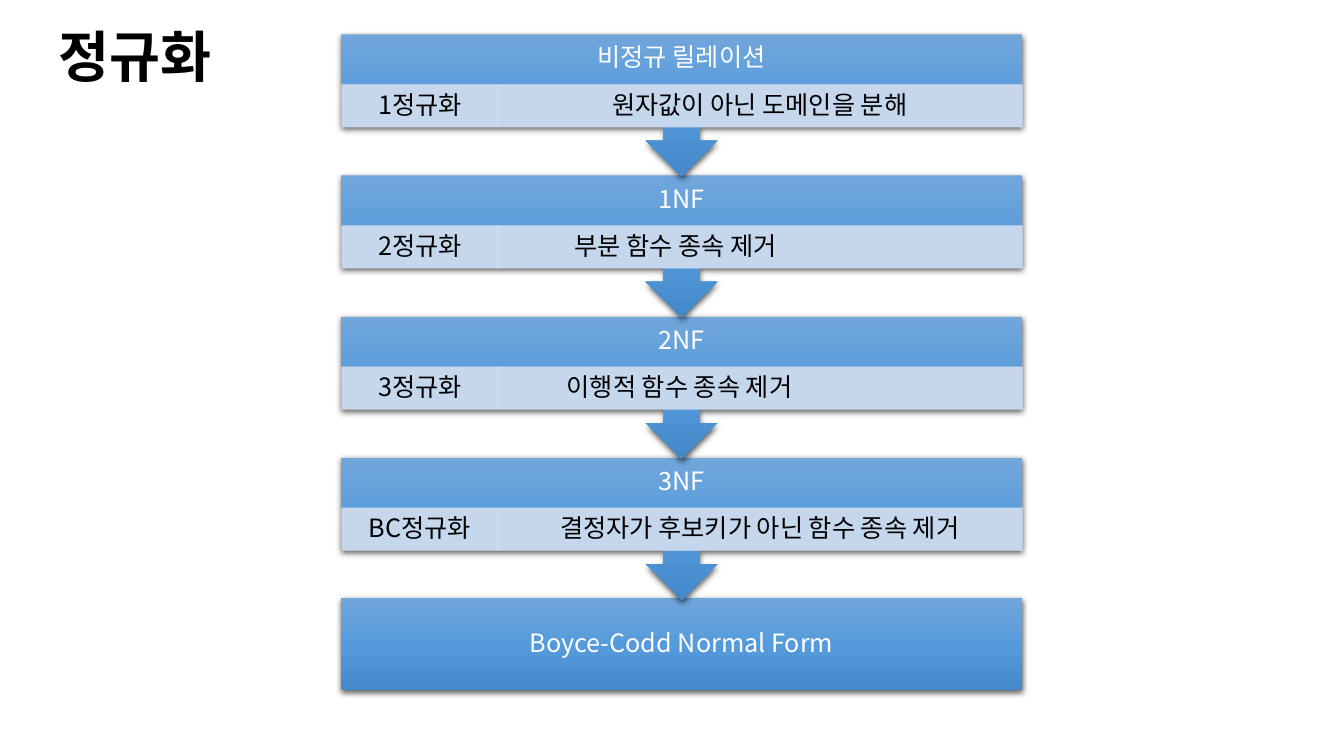
from copy import deepcopy

from lxml.etree import SubElement
from pptx import Presentation
from pptx.dml.color import RGBColor
from pptx.enum.shapes import MSO_SHAPE as Shape
from pptx.enum.text import MSO_ANCHOR as Anchor, PP_ALIGN as Align
from pptx.oxml.ns import qn
from pptx.util import Inches, Pt

BLACK = RGBColor(0x00, 0x00, 0x00)
WHITE = RGBColor(0xFF, 0xFF, 0xFF)
PALE_BLUE = RGBColor(0xD2, 0xDE, 0xEF)
BLUES = [
    (0, RGBColor(0x71, 0xA6, 0xDB)),
    (0.5, RGBColor(0x55, 0x9B, 0xDB)),
    (1, RGBColor(0x44, 0x8A, 0xCA)),
]
FONT = "Noto Sans CJK KR"

# Form, step, action, and indent of the action in inches (None: centred)
STAGES = [
    ("비정규 릴레이션", "1정규화", "원자값이 아닌 도메인을 분해", None),
    ("1NF", "2정규화", "부분 함수 종속 제거", 0.63),
    ("2NF", "3정규화", "이행적 함수 종속 제거", 0.55),
    ("3NF", "BC정규화", "결정자가 후보키가 아닌 함수 종속 제거", None),
]
FINAL_FORM = "Boyce-Codd Normal Form"

FLOW_BOX = (3.38, 0.34, 6.76, 6.51)
PITCH = 1.4
CALLOUT_HEIGHT = 1.41
FORM_HEIGHT = 0.49
BODY_HEIGHT = 0.92
STEP_TOP = 0.5
STEP_WIDTH = 1.55
STEP_HEIGHT = 0.42


def write(shape, text, color, size=18, bold=False, align=Align.CENTER, indent=None):
    frame = shape.text_frame
    frame.word_wrap = True
    frame.vertical_anchor = Anchor.MIDDLE
    para = frame.paragraphs[0]
    para.alignment = align
    para.line_spacing = 0.9
    if indent is not None:
        para.alignment = Align.LEFT
        para._p.get_or_add_pPr().set("marL", str(Inches(indent)))
    span = para.add_run()
    span.text = text
    span.font.name = FONT
    span.font.size = Pt(size)
    span.font.bold = bold
    span.font.color.rgb = color
    SubElement(span.font._element, qn("a:ea"), typeface=FONT)


def set_alpha(fill_parent, percent):
    color = fill_parent.find(qn("a:solidFill")).find(qn("a:srgbClr"))
    SubElement(color, qn("a:alpha"), val=str(percent * 1000))


def add_blue_shape(slide, kind, left, top, width, height):
    shape = slide.shapes.add_shape(
        kind, Inches(left), Inches(top), Inches(width), Inches(height))
    shape.line.fill.background()

    # Three-stop gradient, running downwards
    shape.fill.gradient()
    shape.fill.gradient_angle = 270
    properties = shape._element.spPr
    stop_list = properties.find(qn("a:gradFill")).find(qn("a:gsLst"))
    stop_list.append(deepcopy(stop_list[-1]))
    for stop, (position, color) in zip(shape.fill.gradient_stops, BLUES):
        stop.position = position
        stop.color.rgb = color

    # Soft shadow below
    shape.shadow.inherit = False
    shadow = SubElement(
        properties.find(qn("a:effectLst")), qn("a:outerShdw"),
        blurRad=str(Pt(4.5)), dist=str(Pt(1.5)), dir="5400000",
        algn="ctr", rotWithShape="0")
    shadow_color = SubElement(shadow, qn("a:srgbClr"), val=str(BLACK))
    SubElement(shadow_color, qn("a:alpha"), val="63000")
    return shape


def add_cell(slide, left, top, width, text, indent=None):
    cell = slide.shapes.add_shape(
        Shape.RECTANGLE, Inches(left), Inches(top), Inches(width), Inches(STEP_HEIGHT))
    cell.shadow.inherit = False
    cell.fill.solid()
    cell.fill.fore_color.rgb = PALE_BLUE
    cell.line.color.rgb = PALE_BLUE
    cell.line.width = Pt(0.5)
    set_alpha(cell._element.spPr, 90)
    set_alpha(cell._element.spPr.find(qn("a:ln")), 90)
    frame = cell.text_frame
    frame.margin_left = frame.margin_right = Inches(0.14)
    frame.margin_top = frame.margin_bottom = Inches(0.03)
    write(cell, text, BLACK, indent=indent)


def add_stage(slide, left, top, width, stage):
    form, step, action, indent = stage
    callout = add_blue_shape(
        slide, Shape.DOWN_ARROW_CALLOUT, left, top, width, CALLOUT_HEIGHT)
    # The form name sits in the strip above the cells
    callout.text_frame.margin_bottom = Inches(BODY_HEIGHT - FORM_HEIGHT + 0.05)
    write(callout, form, WHITE)
    add_cell(slide, left + 0.01, top + STEP_TOP, STEP_WIDTH, step)
    add_cell(slide, left + STEP_WIDTH, top + STEP_TOP, width - STEP_WIDTH, action, indent)


def add_flow(slide, box):
    left, top, width, height = box
    # Last stage first, so each arrow tip overlaps the box below it
    final = add_blue_shape(
        slide, Shape.RECTANGLE, left, top + height - BODY_HEIGHT, width, BODY_HEIGHT)
    write(final, FINAL_FORM, WHITE)
    for row, stage in reversed(list(enumerate(STAGES))):
        add_stage(slide, left, top + row * PITCH, width, stage)


def add_title(slide, box):
    title = slide.shapes.title
    title.left, title.top, title.width, title.height = map(Inches, box)
    write(title, "정규화", BLACK, size=39.6, bold=True, align=Align.LEFT)


def main():
    deck = Presentation()
    deck.slide_width = Inches(13.33)
    deck.slide_height = Inches(7.5)
    page = deck.slides.add_slide(deck.slide_layouts[5])
    add_flow(page, FLOW_BOX)
    add_title(page, (0.48, 0.23, 2.01, 0.73))
    deck.save("out.pptx")


if __name__ == "__main__":
    main()
